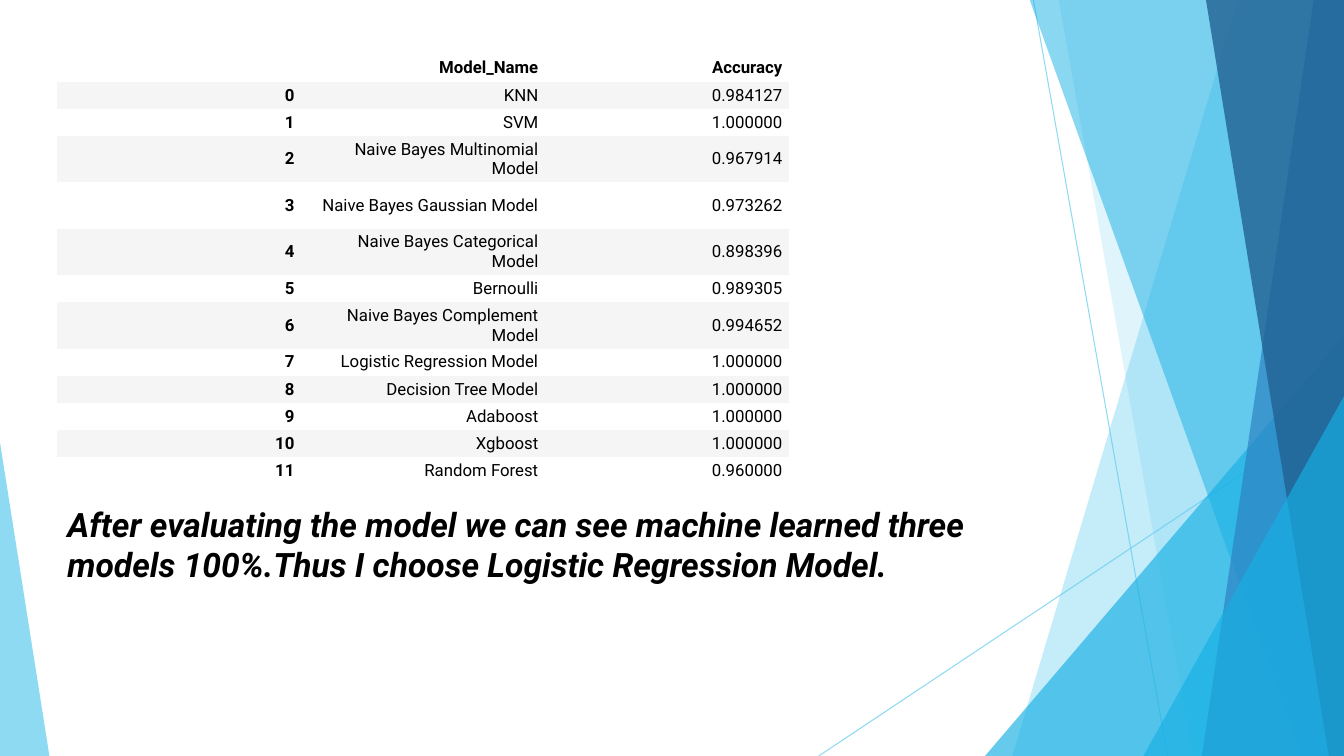
from lxml import etree
from pptx import Presentation
from pptx.dml.color import RGBColor
from pptx.enum.shapes import MSO_CONNECTOR, MSO_SHAPE
from pptx.enum.text import MSO_ANCHOR, PP_ALIGN
from pptx.oxml.ns import qn
from pptx.util import Inches, Pt

SKY = RGBColor(0x5F, 0xCB, 0xEF)
CYAN = RGBColor(0x17, 0xB0, 0xE4)
BLUE = RGBColor(0x2E, 0x83, 0xC3)
NAVY = RGBColor(0x22, 0x62, 0x92)
STRIPE = RGBColor(0xF5, 0xF5, 0xF5)
BLACK = RGBColor(0, 0, 0)
NO_STYLE = "{2D5ABB26-0587-4C30-8999-92F81FD0307C}"
WIDTH, HEIGHT, TOP = 13.33, 7.5, -0.01


def set_alpha(fill, percent):
    color = fill._xPr.find(qn("a:solidFill"))[0]
    etree.SubElement(color, qn("a:alpha")).set("val", str(percent * 1000))


def write(paragraph, text, size=12, bold=False, italic=False, align=PP_ALIGN.LEFT):
    paragraph.alignment = align
    paragraph._p.get_or_add_endParaRPr().set("sz", str(size * 100))
    if text:
        span = paragraph.add_run()
        span.text = text
        span.font.name = "Roboto"
        span.font.size = Pt(size)
        span.font.bold = bold
        span.font.italic = italic
        span.font.color.rgb = BLACK


deck = Presentation()
deck.slide_width, deck.slide_height = Inches(WIDTH), Inches(HEIGHT)
page = deck.slides.add_slide(deck.slide_layouts[6])

# Thin crossing lines
for ends in ((10.25, 0, 11.58, HEIGHT), (WIDTH, 4.03, 8.12, HEIGHT)):
    line = page.shapes.add_connector(MSO_CONNECTOR.STRAIGHT, *map(Inches, ends))
    line.line.color.rgb = SKY
    line.line.width = Pt(0.75)
    set_alpha(line.line.fill, 70)
    etree.SubElement(line._element.spPr, qn("a:effectLst"))

# Translucent facets: bands (top x, bottom x) reach the right edge,
# triangles (left, top, width, apex) stand on the bottom edge
facets = [
    ("band", (12.28, 10.04), SKY, 36),
    ("band", (10.5, 11.83), SKY, 20),
    ("triangle", (9.77, 3.33, 3.56, 1), CYAN, 66),
    ("band", (10.21, 12.91), CYAN, 50),
    ("band", (13.03, 11.92), BLUE, 70),
    ("band", (11.96, 13.18), NAVY, 80),
    ("triangle", (11.34, 3.93, 1.99, 1), CYAN, 66),
    ("triangle", (0, 4.39, 0.49, 0), SKY, 70),
]
for kind, place, color, alpha in facets:
    if kind == "band":
        top_x, bottom_x = place
        outline = page.shapes.build_freeform(Inches(top_x), Inches(TOP))
        corners = [(WIDTH, TOP), (WIDTH, HEIGHT), (bottom_x, HEIGHT)]
        outline.add_line_segments([(Inches(x), Inches(y)) for x, y in corners])
        facet = outline.convert_to_shape()
    else:
        left, top, width, apex = place
        facet = page.shapes.add_shape(
            MSO_SHAPE.ISOSCELES_TRIANGLE, Inches(left), Inches(top),
            Inches(width), Inches(HEIGHT - top))
        facet.adjustments[0] = apex
    facet.shadow.inherit = False
    facet.line.fill.background()
    facet.fill.solid()
    facet.fill.fore_color.rgb = color
    set_alpha(facet.fill, alpha)

# Accuracy table
models = [
    ("KNN", "0.984127"),
    ("SVM", "1.000000"),
    ("Naive Bayes Multinomial Model", "0.967914"),
    ("Naive Bayes Gaussian Model", "0.973262"),
    ("Naive Bayes Categorical Model", "0.898396"),
    ("Bernoulli", "0.989305"),
    ("Naive Bayes Complement Model", "0.994652"),
    ("Logistic Regression Model", "1.000000"),
    ("Decision Tree Model", "1.000000"),
    ("Adaboost", "1.000000"),
    ("Xgboost", "1.000000"),
    ("Random Forest", "0.960000"),
]
rows = [("", "Model_Name", "Accuracy")]
rows += [(str(index), *model) for index, model in enumerate(models)]
frame = page.shapes.add_table(
    len(rows), 3, Inches(0.57), Inches(0.54), Inches(7.26), Inches(4.26))
table = frame.table
table.first_row = table.horz_banding = False
table._tbl.tblPr.find(qn("a:tableStyleId")).text = NO_STYLE
for column in table.columns:
    column.width = Inches(2.42)
for r, values in enumerate(rows):
    table.rows[r].height = Inches(0.46 if "Naive" in values[1] else 0.27)
    for c, value in enumerate(values):
        cell = table.cell(r, c)
        cell.margin_left = cell.margin_right = Inches(0.07)
        cell.margin_top = cell.margin_bottom = Inches(0.03)
        cell.vertical_anchor = MSO_ANCHOR.MIDDLE
        if r % 2:
            cell.fill.solid()
            cell.fill.fore_color.rgb = STRIPE
        else:
            cell.fill.background()
        write(cell.text_frame.paragraphs[0], value,
              bold=r == 0 or c == 0, align=PP_ALIGN.RIGHT)

# Conclusion
box = page.shapes.add_textbox(Inches(0.57), Inches(4.95), Inches(9.77), Inches(0.91))
box.text_frame.word_wrap = True
write(box.text_frame.paragraphs[0],
      "After evaluating the model we can see machine learned three models 100%."
      "Thus I choose Logistic Regression Model.",
      size=24, bold=True, italic=True)

deck.save("out.pptx")
